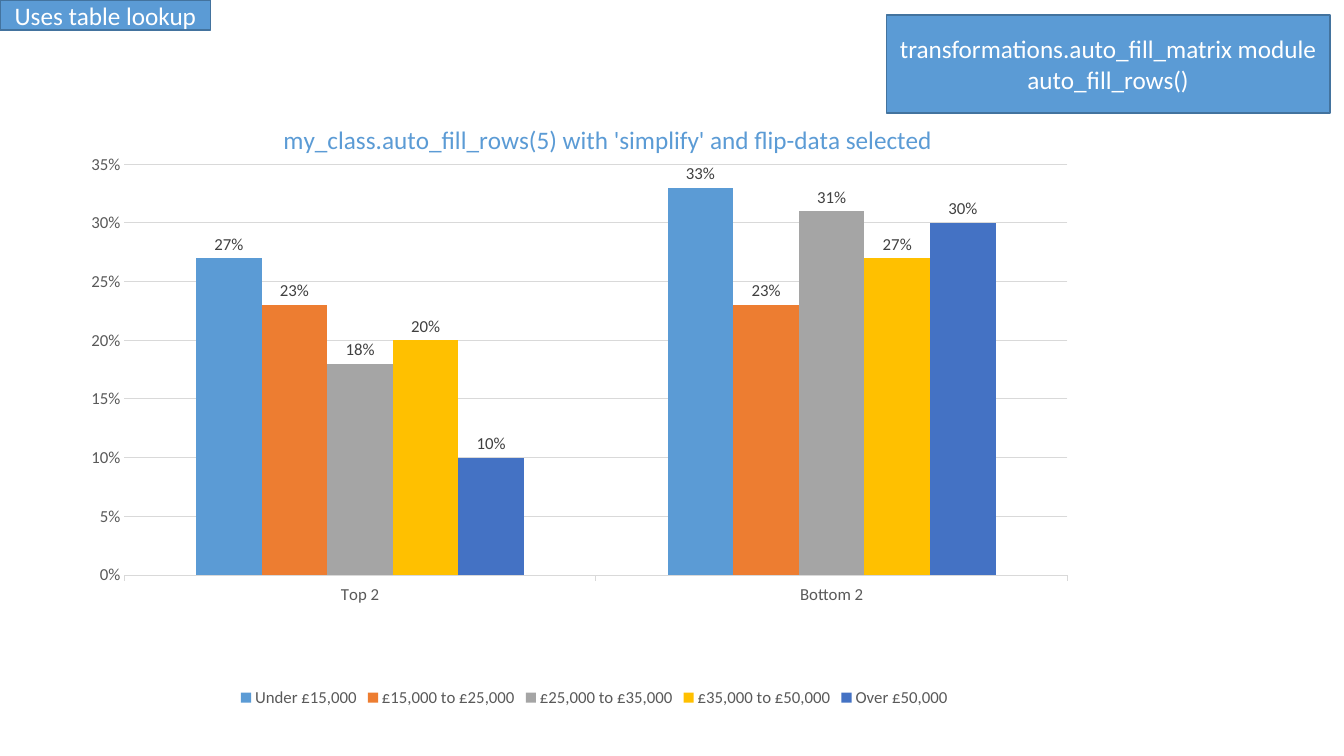
from lxml.etree import SubElement
from pptx import Presentation
from pptx.chart.data import CategoryChartData
from pptx.dml.color import RGBColor
from pptx.enum.chart import (XL_AXIS_CROSSES, XL_CHART_TYPE, XL_LABEL_POSITION,
                             XL_LEGEND_POSITION, XL_TICK_MARK)
from pptx.enum.shapes import MSO_SHAPE
from pptx.enum.text import MSO_ANCHOR, PP_ALIGN
from pptx.oxml.ns import qn
from pptx.util import Pt

PX = 9144  # 100 px to the inch
FONT = "Calibri"
COLORS = {
    "blue": "5B9BD5", "orange": "ED7D31", "gray": "A5A5A5", "gold": "FFC000",
    "navy": "4472C4", "edge": "43739E", "white": "FFFFFF",
    "axis": "595959", "label": "404040", "grid": "D9D9D9",
}
CATEGORIES = ["Top 2", "Bottom 2"]
INCOME_BANDS = [
    ("Under £15,000", (0.27, 0.33), "blue"),
    ("£15,000 to £25,000", (0.23, 0.23), "orange"),
    ("£25,000 to £35,000", (0.18, 0.31), "gray"),
    ("£35,000 to £50,000", (0.20, 0.27), "gold"),
    ("Over £50,000", (0.10, 0.30), "navy"),
]


def color(name):
    return RGBColor.from_string(COLORS[name])


def style_font(font, size, name):
    font.name = FONT
    font.size = Pt(size)
    font.bold = False
    font.color.rgb = color(name)


def style_line(line, name, width=0.75):
    line.color.rgb = color(name)
    line.width = Pt(width)


def add_callout(page, box, lines):
    left, top, width, height = (n * PX for n in box)
    shape = page.shapes.add_shape(MSO_SHAPE.RECTANGLE, left, top, width, height)
    shape.shadow.inherit = False
    shape.fill.solid()
    shape.fill.fore_color.rgb = color("blue")
    style_line(shape.line, "edge", 1)
    frame = shape.text_frame
    frame.word_wrap = True
    frame.vertical_anchor = MSO_ANCHOR.MIDDLE
    for index, text in enumerate(lines):
        para = frame.add_paragraph() if index else frame.paragraphs[0]
        para.alignment = PP_ALIGN.CENTER
        span = para.add_run()
        span.text = text
        style_font(span.font, 18, "white")


def set_layout(parent, after, settings):
    """Place a chart part by fractions of the chart area."""
    for old in parent.findall(qn("c:layout")):
        parent.remove(old)
    layout = SubElement(parent, qn("c:layout"))
    manual = SubElement(layout, qn("c:manualLayout"))
    for tag, value in settings.items():
        SubElement(manual, qn("c:" + tag)).set("val", str(value))
    if after is None:
        parent.insert(0, layout)
    else:
        after.addnext(layout)


def add_title(chart, text):
    title = chart.chart_title
    span = title.text_frame.paragraphs[0].add_run()
    span.text = text
    style_font(span.font, 18, "blue")
    title.include_in_layout = False
    element = chart.element.find(".//" + qn("c:title"))
    set_layout(element, element.find(qn("c:tx")),
               {"xMode": "edge", "yMode": "edge", "x": 0.2, "y": 0.06})


def style_axes(chart):
    months = chart.category_axis
    months.major_tick_mark = XL_TICK_MARK.OUTSIDE
    months.crosses = XL_AXIS_CROSSES.MAXIMUM  # percentages on the right
    style_line(months.format.line, "grid")

    percent = chart.value_axis
    percent.minimum_scale, percent.maximum_scale, percent.major_unit = 0, 0.35, 0.05
    percent.major_tick_mark = XL_TICK_MARK.NONE
    percent.format.line.fill.background()
    style_line(percent.major_gridlines.format.line, "grid")
    percent.tick_labels.number_format = "0%"
    percent.tick_labels.number_format_is_linked = False
    for axis in (months, percent):
        axis.minor_tick_mark = XL_TICK_MARK.NONE
        style_font(axis.tick_labels.font, 12, "axis")


def style_columns(plot):
    plot.gap_width = 219
    plot.overlap = 0
    plot.vary_by_categories = False
    for series, (_, _, fill) in zip(plot.series, INCOME_BANDS):
        series.format.fill.solid()
        series.format.fill.fore_color.rgb = color(fill)
        series.invert_if_negative = False
        labels = series.data_labels
        labels.show_value = True
        labels.position = XL_LABEL_POSITION.OUTSIDE_END
        labels.number_format = "0%"
        labels.number_format_is_linked = False
        style_font(labels.font, 12, "label")


def add_income_chart(page, box):
    data = CategoryChartData(number_format="0%")
    data.categories = CATEGORIES
    for name, values, _ in INCOME_BANDS:
        data.add_series(name, values)
    left, top, width, height = (n * PX for n in box)
    chart = page.shapes.add_chart(XL_CHART_TYPE.COLUMN_CLUSTERED,
                                  left, top, width, height, data).chart
    chart.font.name = FONT
    chart.font.size = Pt(10)
    add_title(chart, "my_class.auto_fill_rows(5) with 'simplify' and flip-data selected")
    style_axes(chart)
    style_columns(chart.plots[0])
    set_layout(chart.element.find(".//" + qn("c:plotArea")), None, {
        "layoutTarget": "inner", "xMode": "edge", "yMode": "edge",
        "x": 0.053, "y": 0.134, "w": 0.897, "h": 0.65})

    chart.has_legend = True
    chart.legend.position = XL_LEGEND_POSITION.BOTTOM
    chart.legend.include_in_layout = False
    style_font(chart.legend.font, 12, "axis")


def main():
    deck = Presentation()
    deck.slide_width, deck.slide_height = 1333 * PX, 750 * PX
    page = deck.slides.add_slide(deck.slide_layouts[6])
    add_income_chart(page, (68, 79, 1043, 627))
    add_callout(page, (879, 15, 440, 97),
                ["transformations.auto_fill_matrix module", "auto_fill_rows()"])
    add_callout(page, (0, 0, 209, 30), ["Uses table lookup"])
    deck.save("out.pptx")


if __name__ == "__main__":
    main()
